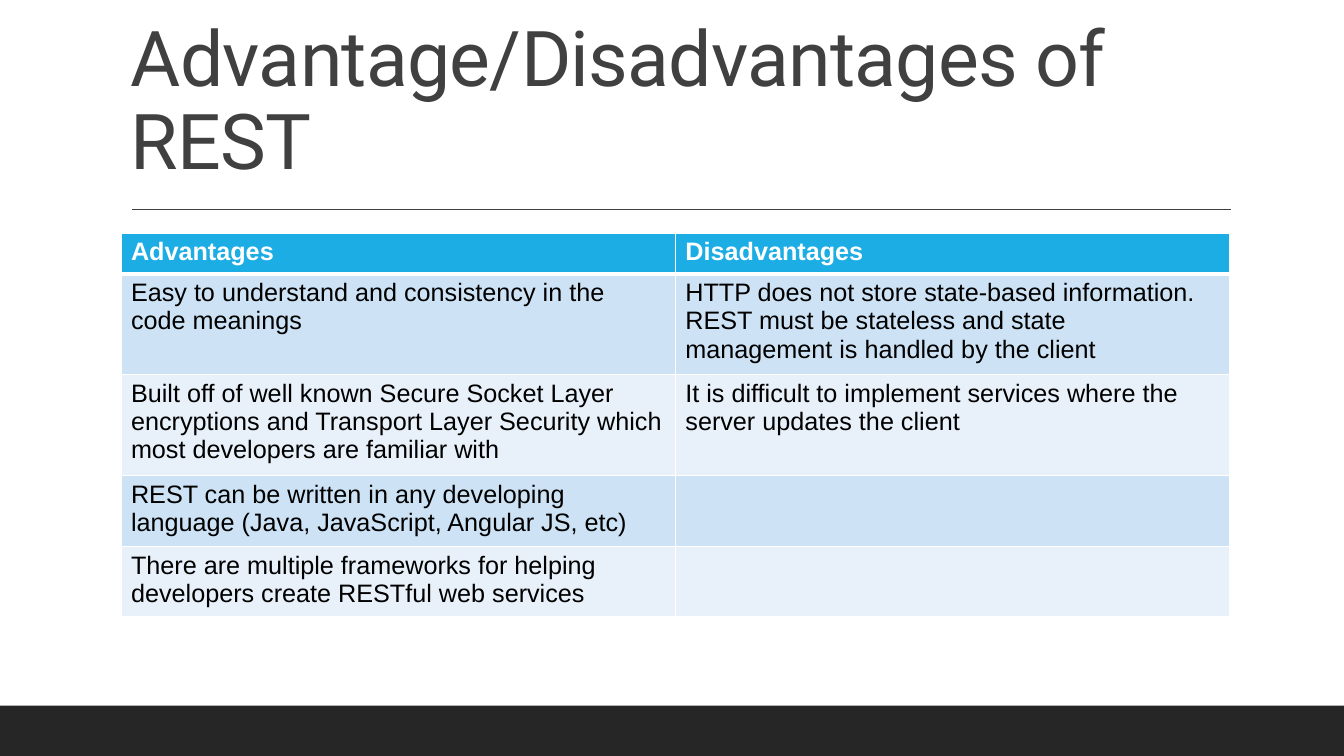
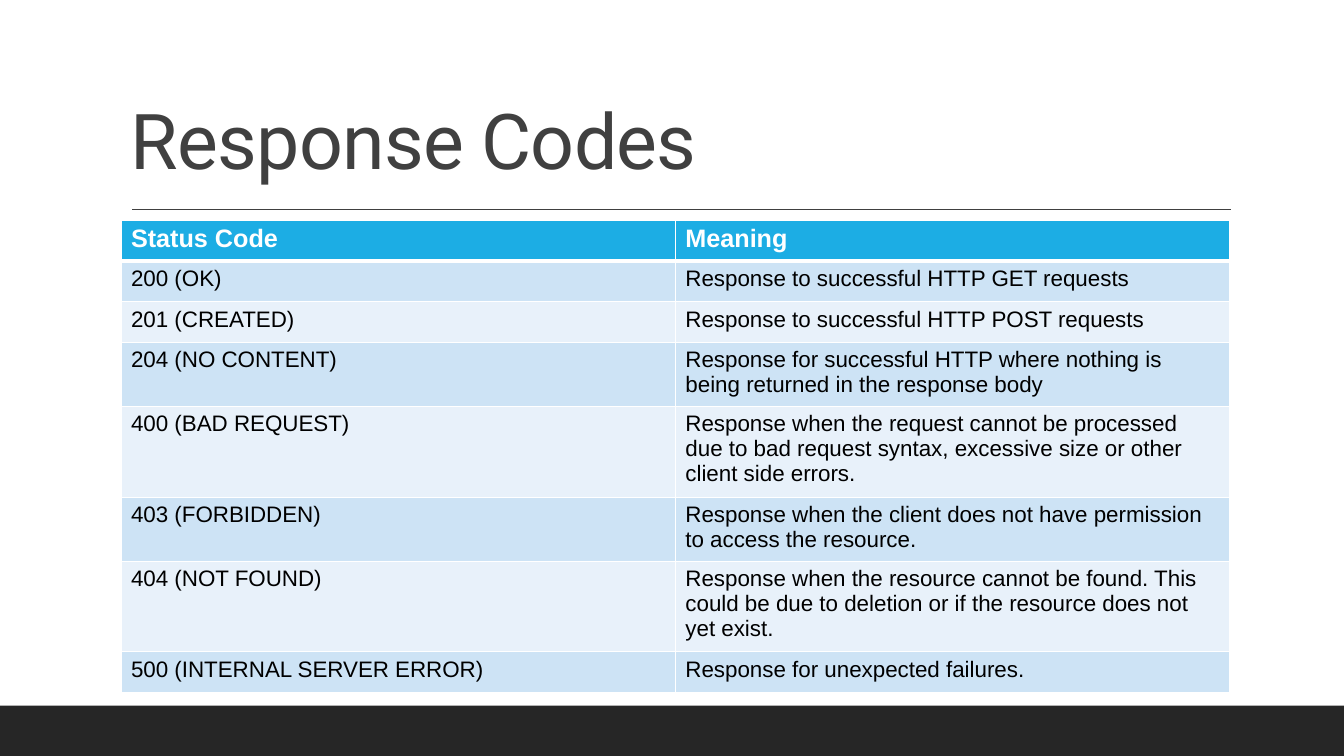
from dataclasses import dataclass

from lxml import etree
from pptx import Presentation
from pptx.dml.color import RGBColor
from pptx.enum.shapes import MSO_CONNECTOR, MSO_SHAPE
from pptx.enum.text import MSO_ANCHOR
from pptx.oxml.ns import qn
from pptx.util import Pt

STRAIGHT = MSO_CONNECTOR.STRAIGHT
RECTANGLE = MSO_SHAPE.RECTANGLE
BOTTOM = MSO_ANCHOR.BOTTOM
BLANK_LAYOUT = 6


@dataclass(frozen=True)
class Theme:
    """Colours, fonts, type sizes and shared measures in points."""

    white: str = "FFFFFF"
    black: str = "000000"
    band: str = "262626"
    title: str = "404040"
    header: str = "1CADE4"
    row_fills: tuple = ("CDE3F5", "E8F1FA")
    title_font: str = "Roboto"
    body_font: str = "Arial"
    title_size: float = 55
    title_tracking: float = -0.5
    title_spacing: float = 0.9
    header_size: float = 18
    width: float = 960
    height: float = 540
    band_height: float = 36
    left: float = 86.4
    content_width: float = 792
    title_top: float = 22.32
    title_height: float = 114.48
    rule_left: float = 94.32
    rule_right: float = 879.12
    rule_top: float = 149.76
    row_height: float = 29.2
    thin: float = 1
    thick: float = 3


THEME = Theme()

REST_ROWS = [
    ("Advantages", "Disadvantages"),
    ("Easy to understand and consistency in the code meanings",
     "HTTP does not store state-based information. REST must be stateless "
     "and state management is handled by the client"),
    ("Built off of well known Secure Socket Layer encryptions and Transport "
     "Layer Security which most developers are familiar with",
     "It is difficult to implement services where the server updates the client"),
    ("REST can be written in any developing language (Java, JavaScript, "
     "Angular JS, etc)", ""),
    ("There are multiple frameworks for helping developers create RESTful "
     "web services", ""),
]

CODE_ROWS = [
    ("Status Code", "Meaning"),
    ("200 (OK)", "Response to successful HTTP GET requests"),
    ("201 (CREATED)", "Response to successful HTTP POST requests"),
    ("204 (NO CONTENT)",
     "Response for successful HTTP where nothing is being returned in the "
     "response body"),
    ("400 (BAD REQUEST)",
     "Response when the request cannot be processed due to bad request "
     "syntax, excessive size or other client side errors."),
    ("403 (FORBIDDEN)",
     "Response when the client does not have permission to access the resource."),
    ("404 (NOT FOUND)",
     "Response when the resource cannot be found. This could be due to "
     "deletion or if the resource does not yet exist."),
    ("500 (INTERNAL SERVER ERROR)", "Response for unexpected failures."),
]


def write_text(text_frame, text, *, font, size, color, bold=False,
               tracking=None, line_spacing=None):
    """Write one formatted paragraph into a text frame."""
    paragraph = text_frame.paragraphs[0]
    if line_spacing:
        paragraph.line_spacing = line_spacing
    run = paragraph.add_run()
    run.text = text
    run.font.name = font
    run.font.size = Pt(size)
    run.font.bold = bold
    run.font.color.rgb = RGBColor.from_string(color)
    if tracking:
        run.font._element.set("spc", str(int(tracking * 100)))


def add_band(slide):
    """Draw the dark band along the bottom edge."""
    band = slide.shapes.add_shape(
        RECTANGLE, 0, Pt(THEME.height - THEME.band_height),
        Pt(THEME.width), Pt(THEME.band_height))
    band.shadow.inherit = False
    band.fill.solid()
    band.fill.fore_color.rgb = RGBColor.from_string(THEME.band)
    band.line.fill.background()


def add_rule(slide):
    """Draw the thin rule under the title."""
    rule = slide.shapes.add_connector(
        STRAIGHT, Pt(THEME.rule_left), Pt(THEME.rule_top),
        Pt(THEME.rule_right), Pt(THEME.rule_top))
    rule.line.color.rgb = RGBColor.from_string(THEME.title)
    rule.line.width = Pt(THEME.thin)
    etree.SubElement(rule._element.spPr, qn("a:effectLst"))


def add_title(slide, text):
    """Add the bottom-anchored slide title."""
    title = slide.shapes.add_textbox(
        Pt(THEME.left), Pt(THEME.title_top),
        Pt(THEME.content_width), Pt(THEME.title_height))
    title.text_frame.word_wrap = True
    title.text_frame.vertical_anchor = BOTTOM
    write_text(title.text_frame, text, font=THEME.title_font,
               size=THEME.title_size, color=THEME.title,
               tracking=THEME.title_tracking, line_spacing=THEME.title_spacing)


def set_borders(cell, *, top, bottom):
    """Give a cell white borders with the given top and bottom widths."""
    properties = cell._tc.get_or_add_tcPr()
    widths = {"a:lnL": THEME.thin, "a:lnR": THEME.thin,
              "a:lnT": top, "a:lnB": bottom}
    for position, (tag, width) in enumerate(widths.items()):
        border = etree.Element(qn(tag), w=str(Pt(width)))
        fill = etree.SubElement(border, qn("a:solidFill"))
        etree.SubElement(fill, qn("a:srgbClr"), val=THEME.white)
        properties.insert(position, border)


def format_cell(cell, text, row_index, body_size):
    """Fill, border and write one cell according to its row."""
    is_header = row_index == 0
    fill = THEME.header if is_header else THEME.row_fills[(row_index - 1) % 2]
    cell.fill.solid()
    cell.fill.fore_color.rgb = RGBColor.from_string(fill)
    set_borders(cell,
                top=THEME.thick if row_index == 1 else THEME.thin,
                bottom=THEME.thick if is_header else THEME.thin)
    if text:
        write_text(cell.text_frame, text, font=THEME.body_font, bold=is_header,
                   size=THEME.header_size if is_header else body_size,
                   color=THEME.white if is_header else THEME.black)


def add_table(slide, rows, *, top, body_size):
    """Add a table with a header row and alternating body rows."""
    table = slide.shapes.add_table(
        len(rows), len(rows[0]), Pt(THEME.left), Pt(top),
        Pt(THEME.content_width), Pt(THEME.row_height * len(rows))).table
    table.horz_banding = False
    for row_index, row in enumerate(rows):
        for column_index, text in enumerate(row):
            format_cell(table.cell(row_index, column_index), text,
                        row_index, body_size)


def add_table_slide(presentation, title, rows, *, top, body_size):
    """Add a slide with the shared frame, a title and a table."""
    slide = presentation.slides.add_slide(
        presentation.slide_layouts[BLANK_LAYOUT])
    add_band(slide)
    add_rule(slide)
    add_title(slide, title)
    add_table(slide, rows, top=top, body_size=body_size)


def main():
    """Build and save the presentation."""
    presentation = Presentation()
    presentation.slide_width = Pt(THEME.width)
    presentation.slide_height = Pt(THEME.height)
    add_table_slide(presentation, "Advantage/Disadvantages of REST", REST_ROWS,
                    top=166.4, body_size=18)
    add_table_slide(presentation, "Response Codes", CODE_ROWS,
                    top=157.2, body_size=16)
    presentation.save("out.pptx")


if __name__ == "__main__":
    main()
